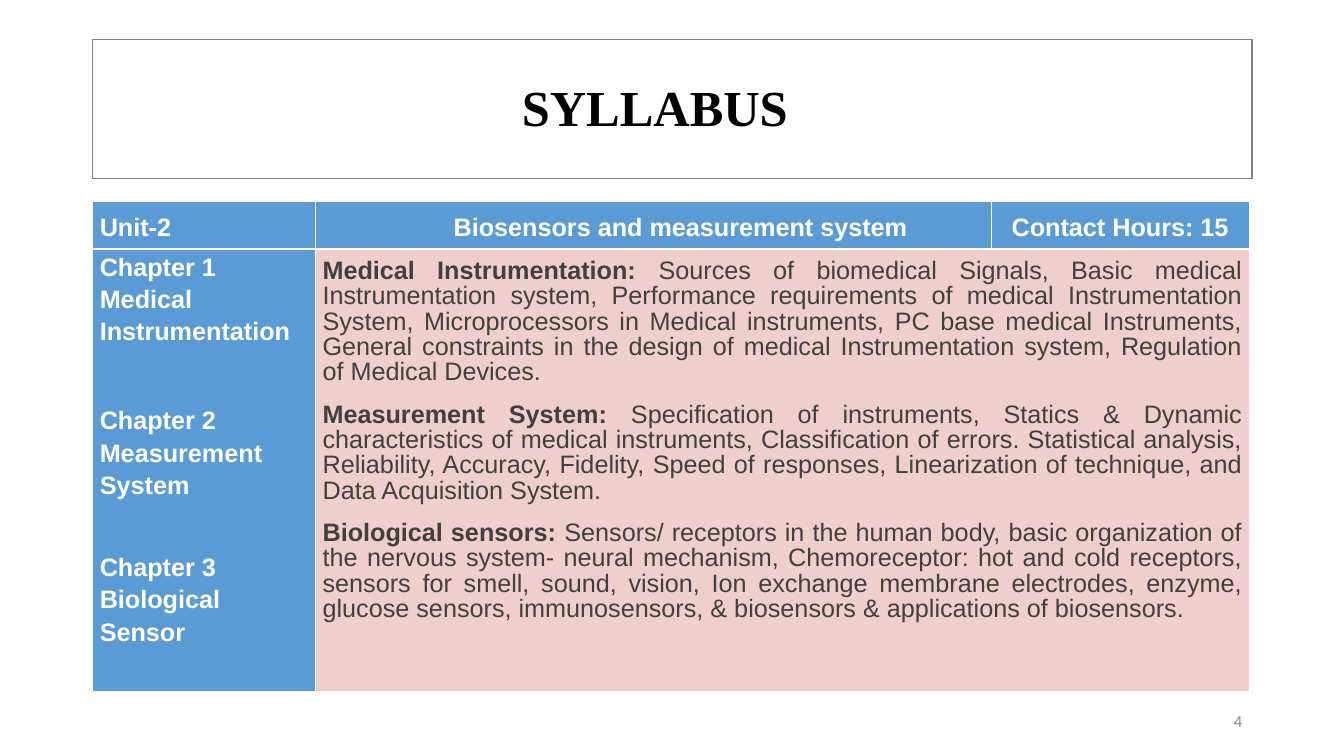
from dataclasses import dataclass

from pptx import Presentation
from pptx.dml.color import RGBColor
from pptx.enum.shapes import MSO_SHAPE
from pptx.enum.text import MSO_ANCHOR, PP_ALIGN
from pptx.table import _Cell
from pptx.text.text import _Paragraph
from pptx.util import Inches, Pt

RECTANGLE = MSO_SHAPE.RECTANGLE
MIDDLE, TOP = MSO_ANCHOR.MIDDLE, MSO_ANCHOR.TOP
LEFT, CENTER, RIGHT, JUSTIFY = (
    PP_ALIGN.LEFT, PP_ALIGN.CENTER, PP_ALIGN.RIGHT, PP_ALIGN.JUSTIFY)

BLACK = RGBColor(0x00, 0x00, 0x00)
WHITE = RGBColor(0xFF, 0xFF, 0xFF)
FRAME_GRAY = RGBColor(0x80, 0x80, 0x80)
NUMBER_GRAY = RGBColor(0x8C, 0x8C, 0x8C)
TEXT_GRAY = RGBColor(0x40, 0x40, 0x40)
BLUE = RGBColor(0x5B, 0x9B, 0xD5)
PINK = RGBColor(0xEF, 0xCF, 0xCC)

MARGIN_LEFT = Inches(0.92)
COLUMN_WIDTHS = (2.21, 6.7, 2.56)
ROW_HEIGHTS = (0.47, 4.39)
CELL_INSET = 0.07


@dataclass
class Heading:
    text: str
    alignment: PP_ALIGN
    left_inset: float = CELL_INSET


@dataclass
class Chapter:
    label: str
    name: str
    gap_before: float
    topic: str
    contents: str


HEADINGS = (
    Heading("Unit-2", LEFT),
    Heading("Biosensors and measurement system", CENTER, 0.61),
    Heading("Contact Hours: 15", CENTER),
)

CHAPTERS = (
    Chapter(
        "Chapter 1", "Medical Instrumentation", 0, "Medical Instrumentation: ",
        "Sources of biomedical Signals, Basic medical Instrumentation system, "
        "Performance requirements of medical Instrumentation System, "
        "Microprocessors in Medical instruments, PC base medical Instruments, "
        "General constraints in the design of medical Instrumentation system, "
        "Regulation of Medical Devices."),
    Chapter(
        "Chapter 2", "Measurement System", 40.5, "Measurement System: ",
        "Specification of instruments, Statics & Dynamic characteristics of "
        "medical instruments, Classification of errors. Statistical analysis, "
        "Reliability, Accuracy, Fidelity, Speed of responses, Linearization of "
        "technique, and Data Acquisition System."),
    Chapter(
        "Chapter 3", "Biological Sensor", 35, "Biological sensors: ",
        "Sensors/ receptors in the human body, basic organization of the nervous "
        "system- neural mechanism, Chemoreceptor: hot and cold receptors, sensors "
        "for smell, sound, vision, Ion exchange membrane electrodes, enzyme, "
        "glucose sensors, immunosensors, & biosensors & applications of biosensors."),
)


def format_paragraph(paragraph: _Paragraph, alignment: PP_ALIGN, size: float,
                     color: RGBColor, font_name: str = "Arial",
                     bold: bool | None = None, line_spacing: float = 1.0) -> None:
    paragraph.alignment = alignment
    paragraph.line_spacing = line_spacing
    font = paragraph.font
    font.name, font.size, font.bold = font_name, Pt(size), bold
    font.color.rgb = color


def format_cell(cell: _Cell, fill: RGBColor, anchor: MSO_ANCHOR,
                left_inset: float = CELL_INSET, top_inset: float = 0) -> None:
    cell.fill.solid()
    cell.fill.fore_color.rgb = fill
    cell.vertical_anchor = anchor
    cell.margin_left, cell.margin_right = Inches(left_inset), Inches(CELL_INSET)
    cell.margin_top, cell.margin_bottom = Inches(top_inset), 0


def next_paragraph(cell: _Cell) -> _Paragraph:
    """Return the cell's blank first paragraph, or a new one after its text."""
    frame = cell.text_frame
    return frame.add_paragraph() if frame.text else frame.paragraphs[0]


def add_chapter_name(cell: _Cell, chapter: Chapter) -> None:
    for text, gap in ((chapter.label, chapter.gap_before), (chapter.name, 0)):
        paragraph = next_paragraph(cell)
        paragraph.text = text
        format_paragraph(paragraph, JUSTIFY, 18, WHITE, bold=True, line_spacing=1.15)
        if gap:
            paragraph.space_before = Pt(gap)


def add_chapter_contents(cell: _Cell, chapter: Chapter) -> None:
    is_first = not cell.text_frame.text
    paragraph = next_paragraph(cell)
    topic = paragraph.add_run()
    topic.text, topic.font.bold = chapter.topic, True
    contents = paragraph.add_run()
    contents.text, contents.font.bold = chapter.contents, False
    format_paragraph(paragraph, JUSTIFY, 18, TEXT_GRAY, line_spacing=0.9)
    if not is_first:
        paragraph.space_before = Pt(6)
    paragraph.space_after = Pt(6)


def add_title(slide) -> None:
    title = slide.shapes.title
    title.left, title.top = MARGIN_LEFT, Inches(0.39)
    title.width, title.height = Inches(11.5), Inches(1.4)
    frame = title.text_frame
    frame.text = "SYLLABUS"
    frame.vertical_anchor = MIDDLE
    frame.margin_right = Inches(0.45)
    format_paragraph(frame.paragraphs[0], CENTER, 36, BLACK, "Times New Roman",
                     bold=True, line_spacing=0.9)

    border = slide.shapes.add_shape(
        RECTANGLE, MARGIN_LEFT, Inches(0.39), Inches(11.5), Inches(1.38))
    border.shadow.inherit = False
    border.fill.background()
    border.line.color.rgb = FRAME_GRAY
    border.line.width = Pt(1)


def add_slide_number(slide) -> None:
    box = slide.shapes.add_textbox(Inches(9.42), Inches(6.95), Inches(3), Inches(0.4))
    frame = box.text_frame
    frame.word_wrap = True
    frame.vertical_anchor = MIDDLE
    frame.text = "4"
    format_paragraph(frame.paragraphs[0], RIGHT, 12, NUMBER_GRAY, "Calibri")


def add_syllabus_table(slide) -> None:
    table = slide.shapes.add_table(
        len(ROW_HEIGHTS), len(COLUMN_WIDTHS), MARGIN_LEFT, Inches(2),
        Inches(sum(COLUMN_WIDTHS)), Inches(sum(ROW_HEIGHTS))).table
    table.first_col = True
    table.horz_banding = False
    for column, width in zip(table.columns, COLUMN_WIDTHS):
        column.width = Inches(width)
    for row, height in zip(table.rows, ROW_HEIGHTS):
        row.height = Inches(height)

    for cell, heading in zip(table.rows[0].cells, HEADINGS):
        format_cell(cell, BLUE, MIDDLE, heading.left_inset)
        cell.text = heading.text
        paragraph = cell.text_frame.paragraphs[0]
        format_paragraph(paragraph, heading.alignment, 18, WHITE,
                         bold=True, line_spacing=1.15)
        paragraph.space_after = Pt(10)

    names, contents = table.cell(1, 0), table.cell(1, 1)
    contents.merge(table.cell(1, 2))
    format_cell(names, BLUE, TOP)
    format_cell(contents, PINK, TOP, top_inset=0.1)
    for chapter in CHAPTERS:
        add_chapter_name(names, chapter)
        add_chapter_contents(contents, chapter)


def main() -> None:
    presentation = Presentation()
    presentation.slide_width, presentation.slide_height = Inches(13.33), Inches(7.5)
    slide = presentation.slides.add_slide(presentation.slide_layouts[5])
    add_title(slide)
    add_slide_number(slide)
    add_syllabus_table(slide)
    presentation.save("out.pptx")


if __name__ == "__main__":
    main()
